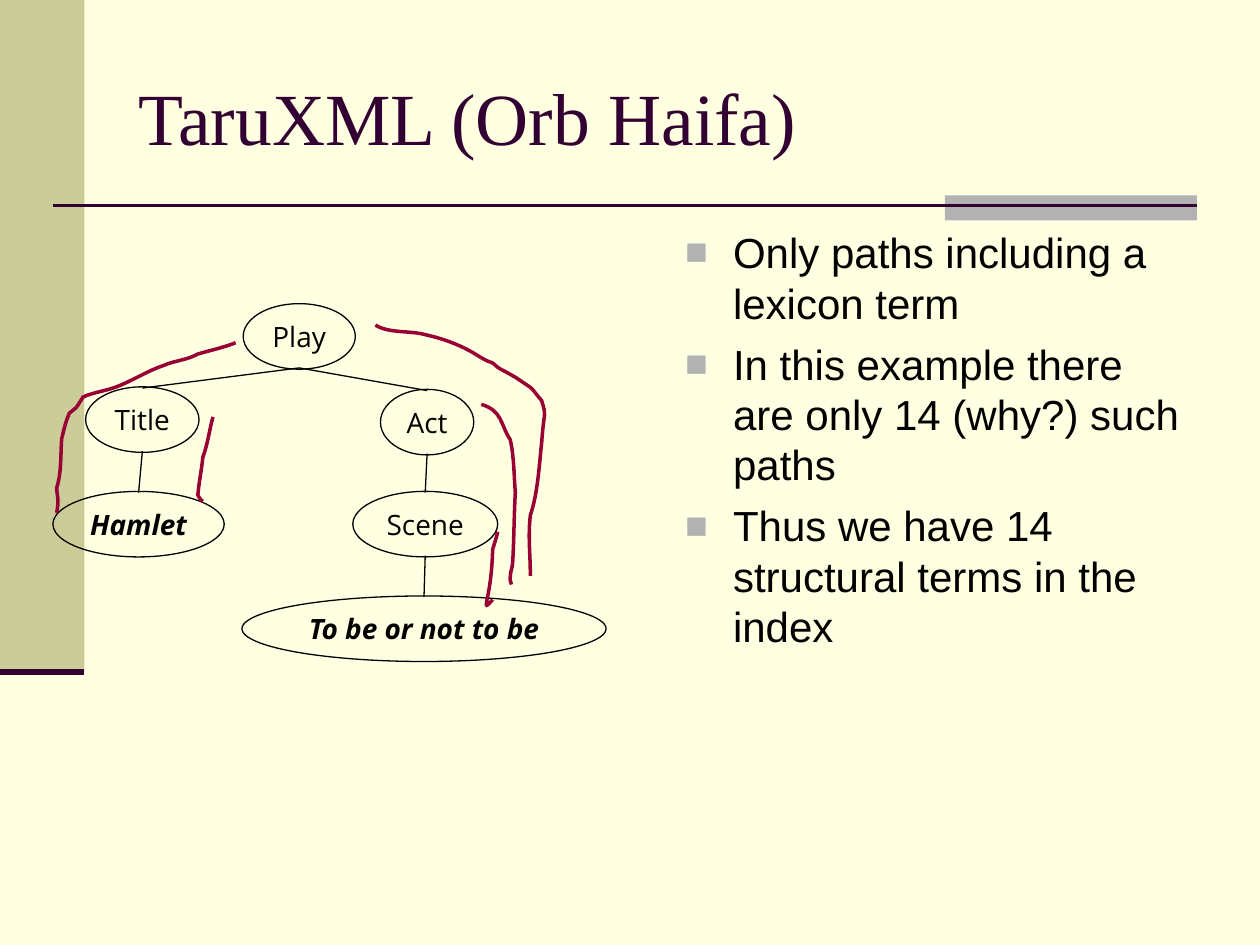
import dataclasses

import lxml.etree
import pptx
import pptx.dml.color
import pptx.enum.shapes
import pptx.enum.text
import pptx.oxml.ns
import pptx.util

Inches = pptx.util.Inches
Pt = pptx.util.Pt
SHAPE = pptx.enum.shapes.MSO_SHAPE
ANCHOR = pptx.enum.text.MSO_ANCHOR
ALIGN = pptx.enum.text.PP_ALIGN
qn = pptx.oxml.ns.qn


@dataclasses.dataclass(frozen=True)
class Theme:
    background: str = "FFFFE1"
    band: str = "CCCC99"
    accent: str = "B2B2B2"
    dark: str = "330033"
    ink: str = "000000"
    path_mark: str = "990033"
    title_font: str = "Times New Roman"
    body_font: str = "Arial"
    node_font: str = "Open Sans"
    title_size: float = 42
    body_size: float = 24
    node_size: float = 16


def rgb(value):
    return pptx.dml.color.RGBColor.from_string(value)


def write(p, text, *, font, size, color, bold=False, italic=False):
    r = p.add_run()
    r.text = text
    r.font.name = font
    r.font.size = Pt(size)
    r.font.color.rgb = rgb(color)
    r.font.bold = bold
    r.font.italic = italic
    return r


def add_bullet(p, color, char="■", percent=90, indent=0.38):
    pPr = p._p.get_or_add_pPr()
    pPr.set("marL", str(Inches(indent)))
    pPr.set("indent", str(-Inches(indent)))
    bu_clr = lxml.etree.SubElement(pPr, qn("a:buClr"))
    lxml.etree.SubElement(bu_clr, qn("a:srgbClr"), val=color)
    lxml.etree.SubElement(pPr, qn("a:buSzPct"), val=str(percent * 1000))
    lxml.etree.SubElement(pPr, qn("a:buFont"), typeface="Arial")
    lxml.etree.SubElement(pPr, qn("a:buChar"), char=char)


def bend_segments(sp):
    """Turn every three straight segments of a freeform into one cubic curve."""
    segments = list(sp._element.iter(qn("a:lnTo")))
    for trio in zip(segments[::3], segments[1::3], segments[2::3]):
        curve = lxml.etree.Element(qn("a:cubicBezTo"))
        trio[0].addprevious(curve)
        for segment in trio:
            curve.append(segment[0])
            segment.getparent().remove(segment)


class SlideBuilder:
    def __init__(self, prs, theme):
        self.theme = theme
        self.s = prs.slides.add_slide(prs.slide_layouts[5])
        self.s.background.fill.solid()
        self.s.background.fill.fore_color.rgb = rgb(theme.background)

    def title(self, text, left, top, width, height):
        sp = self.s.shapes.title
        sp.left, sp.top = Inches(left), Inches(top)
        sp.width, sp.height = Inches(width), Inches(height)
        tf = sp.text_frame
        tf.vertical_anchor = ANCHOR.MIDDLE
        p = tf.paragraphs[0]
        p.alignment = ALIGN.LEFT
        write(p, text, font=self.theme.title_font,
              size=self.theme.title_size, color=self.theme.dark)

    def block(self, color, left, top, width, height):
        sp = self.s.shapes.add_shape(
            SHAPE.RECTANGLE, Inches(left), Inches(top), Inches(width), Inches(height))
        sp.shadow.inherit = False
        sp.fill.solid()
        sp.fill.fore_color.rgb = rgb(color)
        sp.line.fill.background()

    def line(self, x1, y1, x2, y2, color, weight):
        cxn = self.s.shapes.add_connector(
            pptx.enum.shapes.MSO_CONNECTOR.STRAIGHT,
            Inches(x1), Inches(y1), Inches(x2), Inches(y2))
        cxn.line.color.rgb = rgb(color)
        cxn.line.width = Pt(weight)
        lxml.etree.SubElement(cxn._element.spPr, qn("a:effectLst"))

    def bullets(self, items, left, top, width, height):
        tf = self.s.shapes.add_textbox(
            Inches(left), Inches(top), Inches(width), Inches(height)).text_frame
        tf.word_wrap = True
        for i, text in enumerate(items):
            p = tf.add_paragraph() if i else tf.paragraphs[0]
            p.space_before = Pt(6 if i else 0)
            add_bullet(p, self.theme.accent)
            write(p, text, font=self.theme.body_font,
                  size=self.theme.body_size, color=self.theme.ink)

    def node(self, text, left, top, width, height, leaf):
        sp = self.s.shapes.add_shape(
            SHAPE.OVAL, Inches(left), Inches(top), Inches(width), Inches(height))
        sp.shadow.inherit = False
        sp.fill.background()
        sp.line.color.rgb = rgb(self.theme.ink)
        sp.line.width = Pt(0.75)
        tf = sp.text_frame
        tf.word_wrap = False
        tf.vertical_anchor = ANCHOR.MIDDLE
        p = tf.paragraphs[0]
        p.alignment = ALIGN.CENTER
        write(p, text, font=self.theme.node_font, size=self.theme.node_size,
              color=self.theme.ink, bold=leaf, italic=leaf)

    def stroke(self, points):
        """Draw a curve: a start, then two controls and an end per segment."""
        start, *rest = [(Inches(x), Inches(y)) for x, y in points]
        fb = self.s.shapes.build_freeform(*start)
        fb.add_line_segments(rest, close=False)
        sp = fb.convert_to_shape()
        bend_segments(sp)
        sp.shadow.inherit = False
        sp.fill.background()
        sp.line.color.rgb = rgb(self.theme.path_mark)
        sp.line.width = Pt(2)


NODE_HEIGHT = 0.52
NODES = {  # name: (left, top, width)
    "Play": (1.93, 2.41, 0.89),
    "Title": (0.68, 3.07, 0.9),
    "Act": (3.02, 3.09, 0.74),
    "Hamlet": (0.42, 3.9, 1.36),
    "Scene": (2.8, 3.9, 1.15),
    "To be or not to be": (1.92, 4.73, 2.89),
}
EDGES = [("Play", "Title"), ("Play", "Act"), ("Title", "Hamlet"),
         ("Act", "Scene"), ("Scene", "To be or not to be")]
PATH_MARKS = [
    [(1.87, 2.72), (1.77, 2.76), (1.67, 2.78), (1.57, 2.81),
     (1.48, 2.86), (1.39, 2.86), (1.3, 2.9), (1.18, 2.94), (1.07, 3.01), (0.95, 3.06),
     (0.86, 3.1), (0.75, 3.11), (0.66, 3.15), (0.59, 3.26), (0.62, 3.22), (0.55, 3.28),
     (0.52, 3.35), (0.51, 3.4), (0.49, 3.48), (0.48, 3.6), (0.49, 3.75), (0.45, 3.87),
     (0.45, 3.91), (0.46, 3.94), (0.46, 3.98), (0.46, 4.02), (0.45, 4.07), (0.45, 4.07)],
    [(1.69, 3.31), (1.66, 3.42), (1.65, 3.52), (1.61, 3.63),
     (1.6, 3.73), (1.58, 3.82), (1.57, 3.93), (1.6, 3.98), (1.59, 3.96), (1.61, 3.98)],
    [(2.98, 2.58), (3.09, 2.65), (3.26, 2.62), (3.39, 2.66),
     (3.49, 2.68), (3.63, 2.73), (3.72, 2.78), (3.78, 2.81), (3.84, 2.86), (3.91, 2.88),
     (3.99, 2.95), (3.93, 2.9), (4.1, 3), (4.26, 3.11), (4.19, 3.05), (4.3, 3.18),
     (4.34, 3.32), (4.32, 3.23), (4.3, 3.51), (4.28, 3.69), (4.27, 3.91), (4.21, 4.09),
     (4.19, 4.26), (4.21, 4.39), (4.21, 4.57)],
    [(3.82, 3.21), (3.99, 3.26), (3.97, 3.37), (4.05, 3.49),
     (4.08, 3.62), (4.08, 3.78), (4.09, 3.91), (4.08, 4.09), (4.08, 4.27), (4.07, 4.45),
     (4.07, 4.52), (4.03, 4.57), (4.06, 4.64)],
    [(3.95, 4.22), (3.94, 4.27), (3.91, 4.36), (3.91, 4.36),
     (3.9, 4.78), (3.8, 4.88), (3.91, 4.76)],
]


def main():
    prs = pptx.Presentation()
    prs.slide_width, prs.slide_height = Inches(10), Inches(7.5)
    theme = Theme()
    slide = SlideBuilder(prs, theme)

    slide.block(theme.band, 0, 0, 0.67, 5.33)
    slide.block(theme.accent, 7.5, 1.55, 2, 0.2)
    slide.line(0.42, 1.63, 9.5, 1.63, theme.dark, 1.5)
    slide.line(0, 5.33, 0.67, 5.33, theme.dark, 3.5)
    slide.title("TaruXML (Orb Haifa)", 1, 0.3, 8.5, 1.25)
    slide.bullets([
        "Only paths including a lexicon term",
        "In this example there are only 14 (why?) such paths",
        "Thus we have 14 structural terms in the index",
    ], 5.34, 1.75, 4.16, 4.95)

    parents = {parent for parent, _ in EDGES}
    for name, (left, top, width) in NODES.items():
        slide.node(name, left, top, width, NODE_HEIGHT, leaf=name not in parents)
    for parent, child in EDGES:
        (x1, y1, w1), (x2, y2, w2) = NODES[parent], NODES[child]
        slide.line(x1 + w1 / 2, y1 + NODE_HEIGHT - 0.01,
                   x2 + w2 / 2, y2 + 0.01, theme.ink, 0.75)
    for points in PATH_MARKS:
        slide.stroke(points)

    prs.save("out.pptx")


if __name__ == "__main__":
    main()
